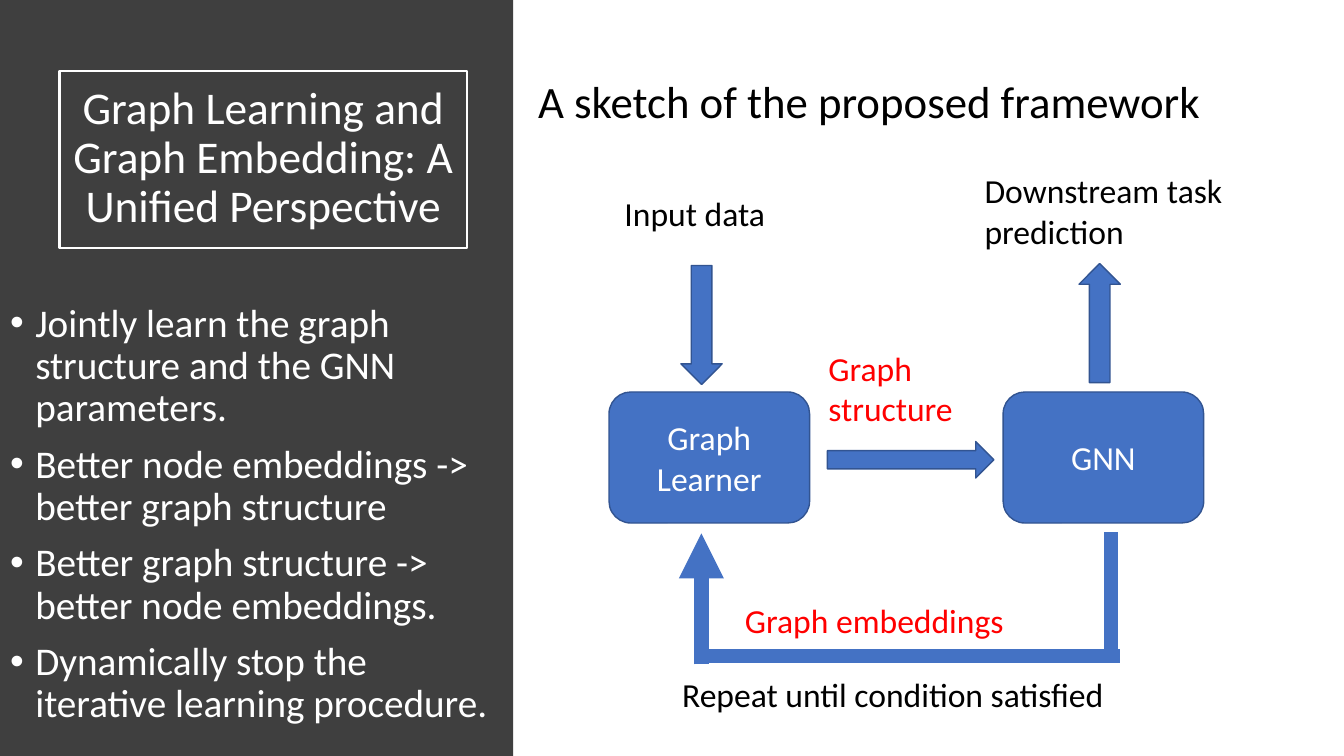
"""Build the slide on unified graph learning and graph embedding."""
from lxml import etree
from pptx import Presentation
from pptx.dml.color import RGBColor
from pptx.enum.shapes import MSO_CONNECTOR as CONN, MSO_SHAPE as SHAPE
from pptx.enum.text import MSO_ANCHOR as ANCHOR, MSO_AUTO_SIZE as FIT, PP_ALIGN as ALIGN
from pptx.oxml.ns import qn
from pptx.util import Pt

WHITE = RGBColor(0xFF, 0xFF, 0xFF)
BLACK = RGBColor(0x00, 0x00, 0x00)
RED = RGBColor(0xFF, 0x00, 0x00)
CHARCOAL = RGBColor(0x3F, 0x3F, 0x3F)
BLUE = RGBColor(0x44, 0x72, 0xC4)
NAVY = RGBColor(0x32, 0x54, 0x91)


def write(p, text, size, color, **fmt):
    for name, value in fmt.items():
        setattr(p, name, value)
    r = p.add_run()
    r.text = text
    r.font.name = "Calibri"
    r.font.size = Pt(size)
    r.font.color.rgb = color


def add_block(kind, box, fill, line=None):
    sp = s.shapes.add_shape(kind, *map(Pt, box))
    sp.shadow.inherit = False
    sp.fill.solid()
    sp.fill.fore_color.rgb = fill
    if line is None:
        sp.line.fill.background()
    else:
        sp.line.color.rgb = line
        sp.line.width = Pt(1)
    return sp


prs = Presentation()
prs.slide_width, prs.slide_height = Pt(960), Pt(540)
s = prs.slides.add_slide(prs.slide_layouts[1])
title, body = s.placeholders

sidebar = add_block(SHAPE.RECTANGLE, (0, 0, 366.5, 540), CHARCOAL)
title.element.addprevious(sidebar.element)

for sp, box, anchor in (
    (title, (42.5, 50.4, 291, 126.7), ANCHOR.MIDDLE),
    (body, (0, 213, 365.8, 307.5), ANCHOR.TOP),
):
    sp.left, sp.top, sp.width, sp.height = map(Pt, box)
    for name, value in {"word_wrap": True, "auto_size": FIT.NONE, "vertical_anchor": anchor}.items():
        setattr(sp.text_frame, name, value)

title.line.color.rgb = WHITE
title.line.width = Pt(1.5)
write(title.text_frame.paragraphs[0], "Graph Learning and Graph Embedding: A Unified Perspective",
      32.4, WHITE, alignment=ALIGN.CENTER, line_spacing=0.9)

points = (
    "Jointly learn the graph structure and the GNN parameters.",
    "Better node embeddings -> better graph structure",
    "Better graph structure -> better node embeddings.",
    "Dynamically stop the iterative learning procedure.",
)
tf = body.text_frame
for i, text in enumerate(points):
    p = tf.add_paragraph() if i else tf.paragraphs[0]
    pPr = p._p.get_or_add_pPr()
    pPr.set("marL", str(Pt(18)))
    pPr.set("indent", str(Pt(-18)))
    etree.SubElement(pPr, qn("a:buFont"), typeface="Arial")
    etree.SubElement(pPr, qn("a:buChar"), char="•")
    write(p, text, 28, WHITE, line_spacing=0.9, space_before=Pt(10 if i else 0))

for text, left in (("Graph Learner", 435), ("GNN", 716.5)):
    sp = add_block(SHAPE.ROUNDED_RECTANGLE, (left, 280, 143.3, 93.6), BLUE, NAVY)
    sp.text_frame.word_wrap = True
    sp.text_frame.vertical_anchor = ANCHOR.MIDDLE
    write(sp.text_frame.paragraphs[0], text, 24, WHITE, alignment=ALIGN.CENTER)

for box, rotation in (
    ((458.6, 217.4, 85, 29.5), 90),
    ((591, 315.4, 119, 26), 0),
    ((743, 216, 85, 29.5), 270),
):
    add_block(SHAPE.RIGHT_ARROW, box, BLUE, NAVY).rotation = rotation

for ends, width, has_head in (
    ((501, 474.5, 501, 381), 10.75, True),
    ((793.4, 380.2, 793.4, 471), 10.25, False),
    ((500.4, 468.7, 800, 468.7), 10.25, False),
):
    line = s.shapes.add_connector(CONN.STRAIGHT, *map(Pt, ends))
    line.line.color.rgb = BLUE
    line.line.width = Pt(width)
    if has_head:
        etree.SubElement(line.line._get_or_add_ln(), qn("a:tailEnd"), type="triangle")
    etree.SubElement(line.element.spPr, qn("a:effectLst"))

for text, box, size, color, after in (
    ("Input data", (439, 134, 144, 40), 24, BLACK, 0),
    ("Graph structure", (584.6, 245, 131, 72), 24, RED, 0),
    ("Downstream task prediction", (696.2, 118, 206.6, 72), 24, BLACK, 0),
    ("Graph embeddings", (525, 425, 250.6, 40), 24, RED, 0),
    ("Repeat until condition satisfied", (480.2, 478, 396.7, 40), 24, BLACK, 0),
    ("A sketch of the proposed framework", (377.3, 49, 491.8, 46), 32, BLACK, 6),
):
    tf = s.shapes.add_textbox(*map(Pt, box)).text_frame
    tf.word_wrap = True
    write(tf.paragraphs[0], text, size, color, space_after=Pt(after))

prs.save("out.pptx")
